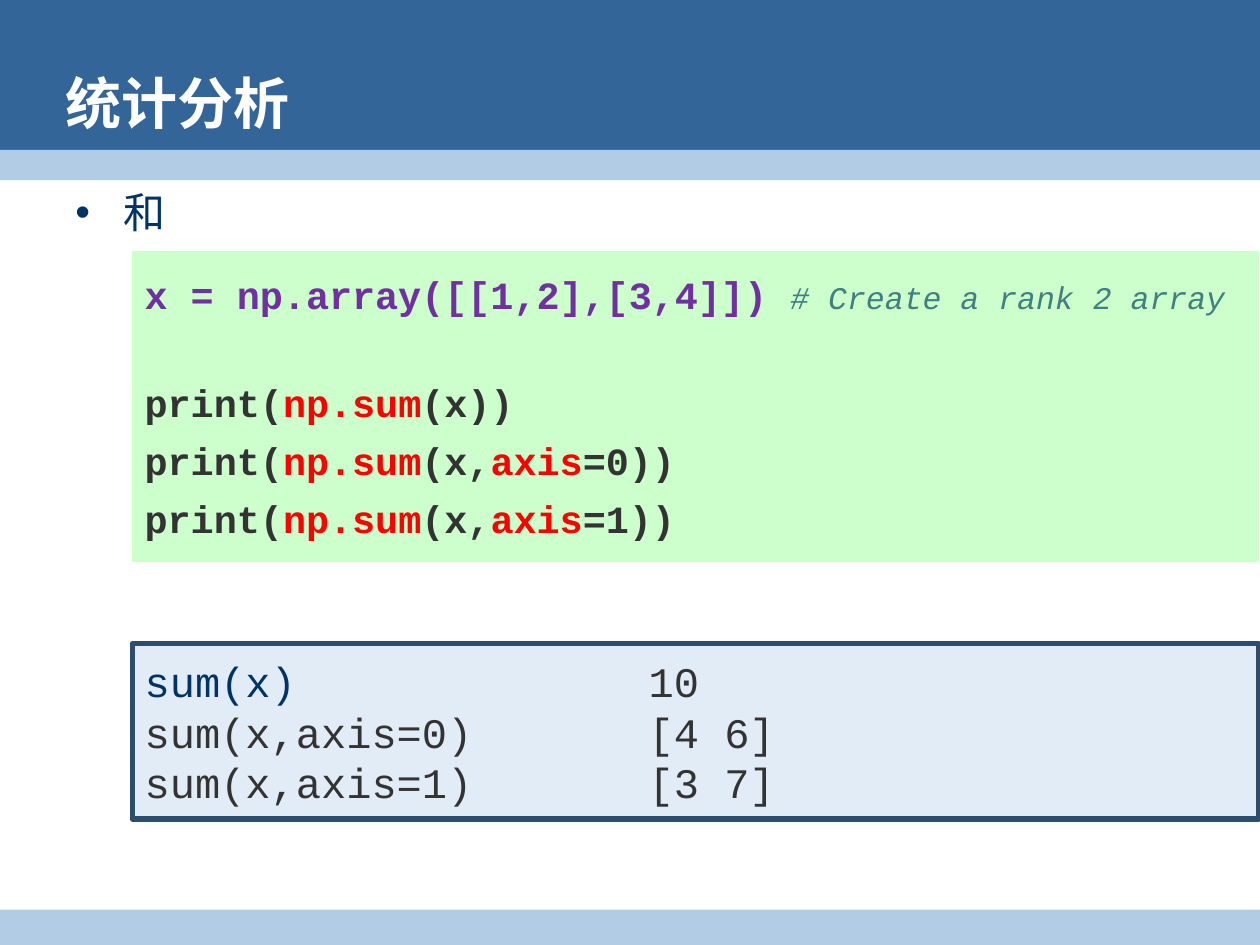
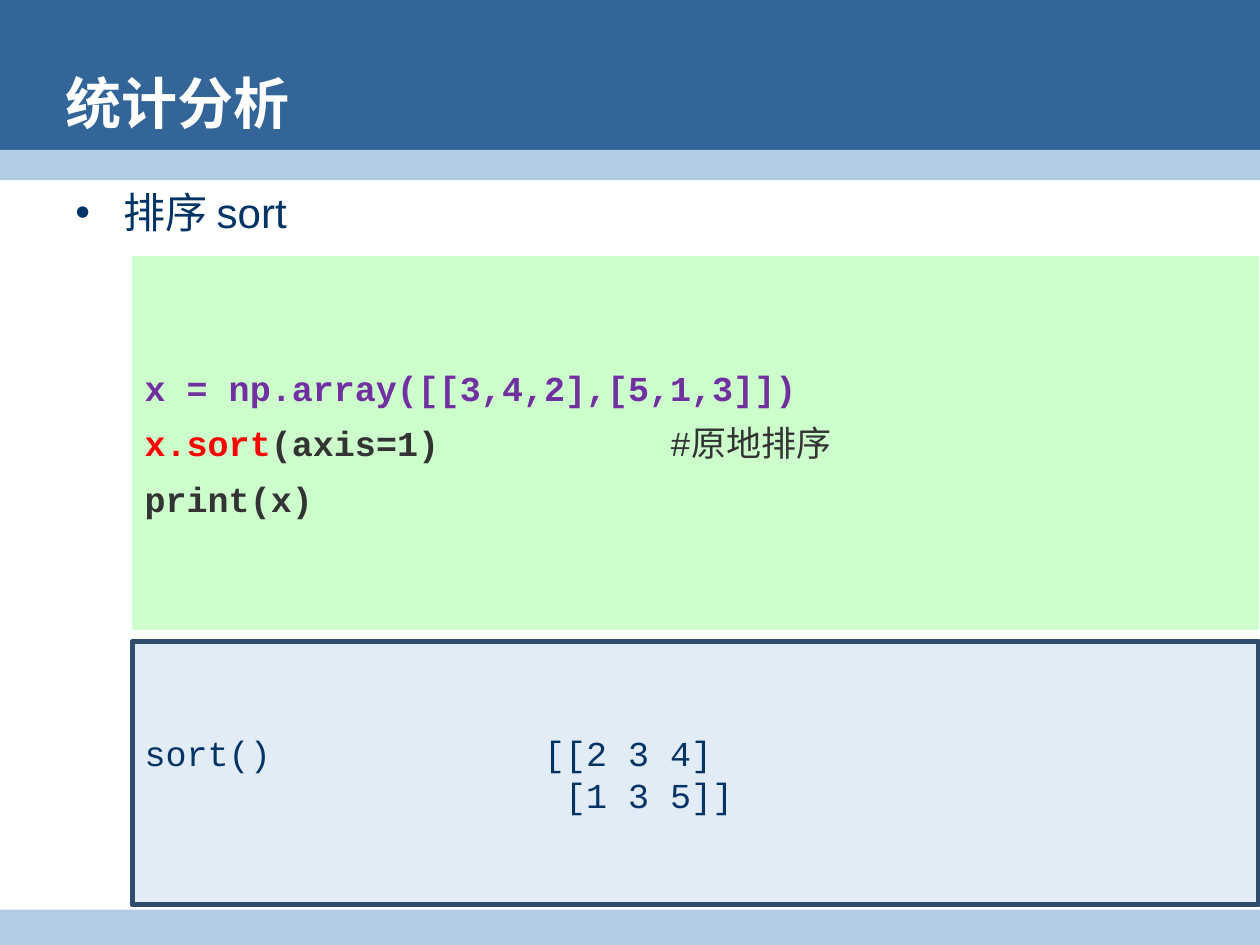
from dataclasses import dataclass

from lxml.etree import SubElement
from pptx import Presentation
from pptx.dml.color import RGBColor
from pptx.enum.shapes import MSO_SHAPE as Preset
from pptx.enum.text import MSO_ANCHOR as Anchor, PP_ALIGN as Align
from pptx.oxml.ns import qn
from pptx.util import Inches, Pt


@dataclass(frozen=True)
class Theme:
    heading_font: str = "Arial"
    code_font: str = "Courier New"
    band: str = "336599"
    stripe: str = "B3CCE6"
    white: str = "FFFFFF"
    navy: str = "003366"
    code_fill: str = "CCFFCC"
    output_fill: str = "E2ECF6"
    output_line: str = "2E4C6B"
    dark: str = "333333"
    purple: str = "7030A0"
    red: str = "FF0000"
    teal: str = "408080"
    title_size: int = 32
    topic_size: int = 24
    comment_size: int = 18


THEME = Theme()

STYLES = {
    "code": dict(color=THEME.dark, bold=True),
    "setup": dict(color=THEME.purple, bold=True),
    "key": dict(color=THEME.red, bold=True),
    "comment": dict(color=THEME.teal, italic=True, size=THEME.comment_size),
    "plain": dict(color=THEME.dark),
    "result": dict(color=THEME.navy),
}

BANDS = [
    (0, 0, 10, 1.31, THEME.band),
    (0, 1.19, 10, 0.24, THEME.stripe),
    (0, 7.22, 10, 0.28, THEME.stripe),
]
TITLE = "统计分析"
TITLE_BOX = (0.42, 0.52, 9.06, 0.58)
TOPIC_BOX = (0.5, 1.43, 9.25, 5.83)
PANEL_LEFT, PANEL_WIDTH = 1.05, 8.94


def sum_call(*rest):
    return [("print(", "code"), ("np.sum", "key"), *rest]


def axis_call(axis):
    return sum_call(("(x,", "code"), ("axis", "key"), (f"={axis}))", "code"))


SLIDES = [
    {
        "topic": "和",
        "code": {
            "top": 1.99, "height": 2.47, "size": 22, "gap": 6.8, "tab": 4,
            "wide_gaps": {1: 35},
            "lines": [
                [("x = np.array([[1,2],[3,4]]) ", "setup"),
                 ("# Create a rank 2 array", "comment")],
                sum_call(("(x))", "code")),
                axis_call(0),
                axis_call(1),
            ],
        },
        "output": {
            "top": 5.11, "height": 1.39, "size": 24, "tab": 4,
            "lines": [
                [("sum(x)", "result"), ("\t10", "plain")],
                [("sum(x,axis=0)\t[4 6]", "plain")],
                [("sum(x,axis=1)\t[3 7]", "plain")],
            ],
        },
    },
    {
        "topic": "排序 sort",
        "code": {
            "top": 2.03, "height": 2.97, "size": 20, "gap": 7.5, "tab": 4.17,
            "lines": [
                [("x = np.array([[3,4,2],[5,1,3]])", "setup")],
                [("x.sort", "key"), ("(axis=1)", "code"), ("\t#原地排序", "plain")],
                [("print(x)", "code")],
            ],
        },
        "output": {
            "top": 5.09, "height": 2.09, "size": 20, "tab": 3.17,
            "lines": [
                [("sort()\t[[2 3 4]", "result")],
                [("\t [1 3 5]]", "result")],
            ],
        },
    },
]


def format_font(font, name, size, color, bold=False, italic=False):
    font.name = name
    font.size = Pt(size)
    font.bold = bold
    font.italic = italic
    font.color.rgb = RGBColor.from_string(color)


def add_block(slide, preset, box, fill, line=None):
    shape = slide.shapes.add_shape(preset, *map(Inches, box))
    shape.shadow.inherit = False
    shape.fill.solid()
    shape.fill.fore_color.rgb = RGBColor.from_string(fill)
    if line:
        shape.line.color.rgb = RGBColor.from_string(line)
        shape.line.width = Pt(3)
    else:
        shape.line.fill.background()
    return shape


def add_heading(slide, box, text, size, color, anchor, bold=False):
    text_frame = slide.shapes.add_textbox(*map(Inches, box)).text_frame
    text_frame.word_wrap = True
    text_frame.vertical_anchor = anchor
    text_frame.text = text
    paragraph = text_frame.paragraphs[0]
    format_font(paragraph.runs[0].font, THEME.heading_font, size, color, bold)
    return paragraph


def add_bullet(paragraph):
    properties = paragraph._p.get_or_add_pPr()
    properties.set("marL", str(Inches(0.38)))
    properties.set("indent", str(-Inches(0.38)))
    SubElement(properties, qn("a:buFont"), typeface=THEME.heading_font)
    SubElement(properties, qn("a:buChar"), char="•")


def add_tab_stop(paragraph, position):
    tabs = SubElement(paragraph._p.get_or_add_pPr(), qn("a:tabLst"))
    SubElement(tabs, qn("a:tab"), pos=str(Inches(position)), algn="l")


def add_panel(slide, panel, preset, fill, line=None):
    box = (PANEL_LEFT, panel["top"], PANEL_WIDTH, panel["height"])
    text_frame = add_block(slide, preset, box, fill, line).text_frame
    text_frame.word_wrap = True
    text_frame.vertical_anchor = Anchor.MIDDLE
    for index, pieces in enumerate(panel["lines"]):
        paragraph = text_frame.add_paragraph() if index else text_frame.paragraphs[0]
        add_tab_stop(paragraph, panel["tab"])
        paragraph.alignment = Align.LEFT
        if index:
            gap = panel.get("gap", 0)
            paragraph.space_before = Pt(panel.get("wide_gaps", {}).get(index, gap))
        for text, style in pieces:
            run = paragraph.add_run()
            run.text = text
            format_font(run.font, **{"name": THEME.code_font, "size": panel["size"],
                                     **STYLES[style]})


def build_slide(presentation, content):
    slide = presentation.slides.add_slide(presentation.slide_layouts[6])
    for *box, fill in BANDS:
        add_block(slide, Preset.RECTANGLE, box, fill)
    topic = add_heading(slide, TOPIC_BOX, content["topic"], THEME.topic_size,
                        THEME.navy, Anchor.TOP)
    add_bullet(topic)
    add_heading(slide, TITLE_BOX, TITLE, THEME.title_size, THEME.white,
                Anchor.MIDDLE, bold=True)
    add_panel(slide, content["code"], Preset.FLOWCHART_PROCESS, THEME.code_fill)
    add_panel(slide, content["output"], Preset.RECTANGLE, THEME.output_fill,
              THEME.output_line)


def main():
    presentation = Presentation()
    presentation.slide_width = Inches(10)
    presentation.slide_height = Inches(7.5)
    for content in SLIDES:
        build_slide(presentation, content)
    presentation.save("out.pptx")


if __name__ == "__main__":
    main()
